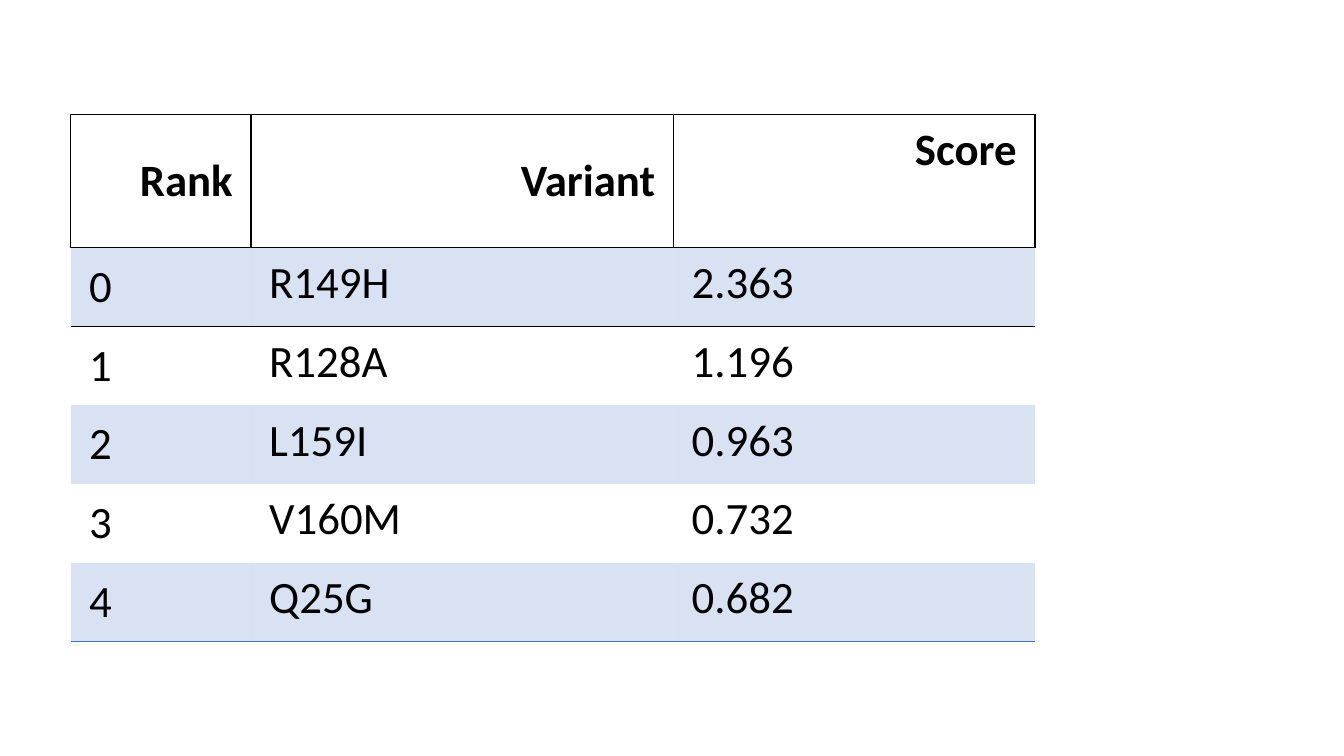
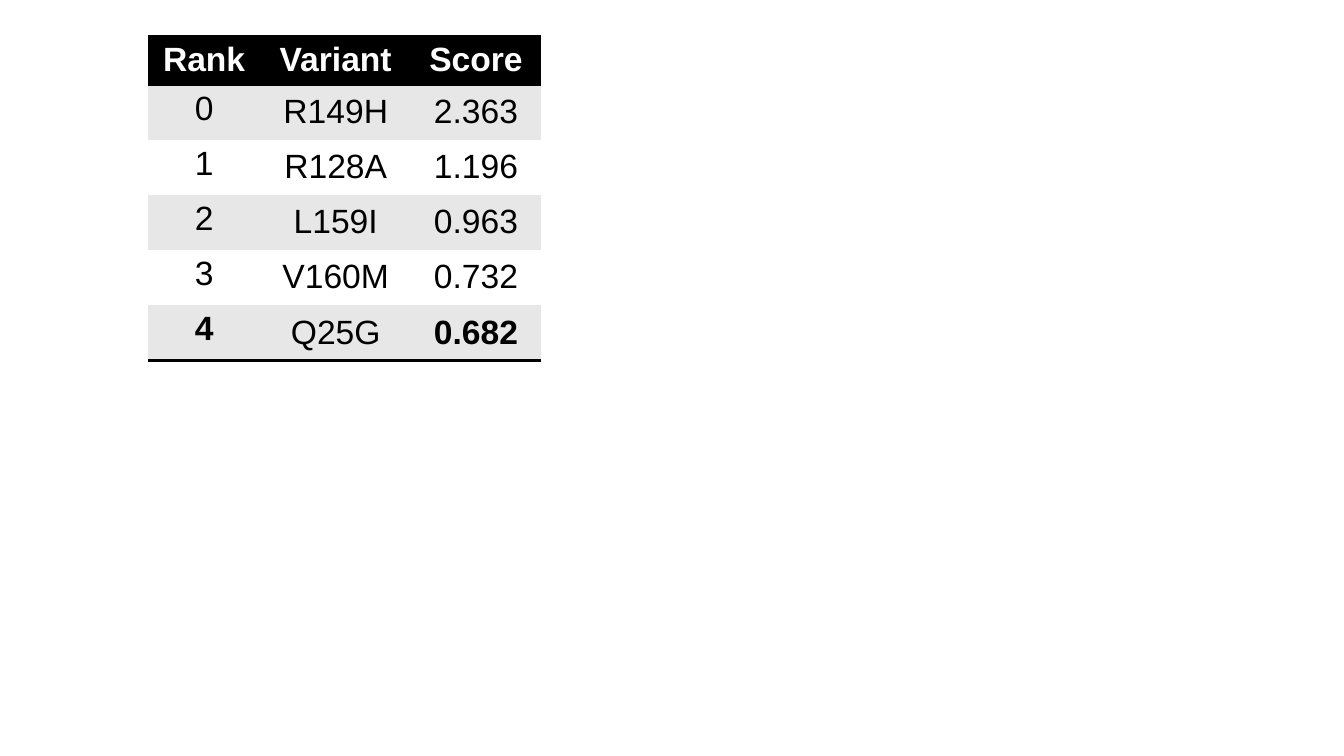
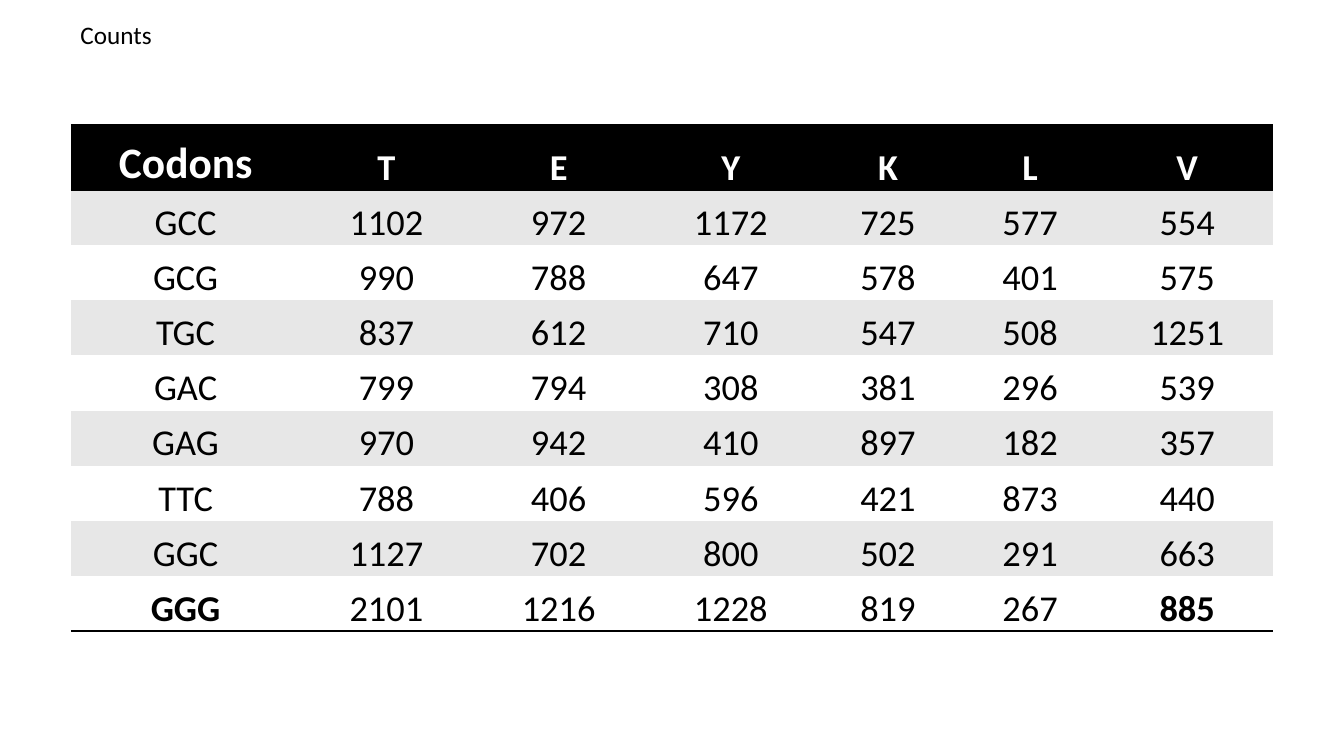
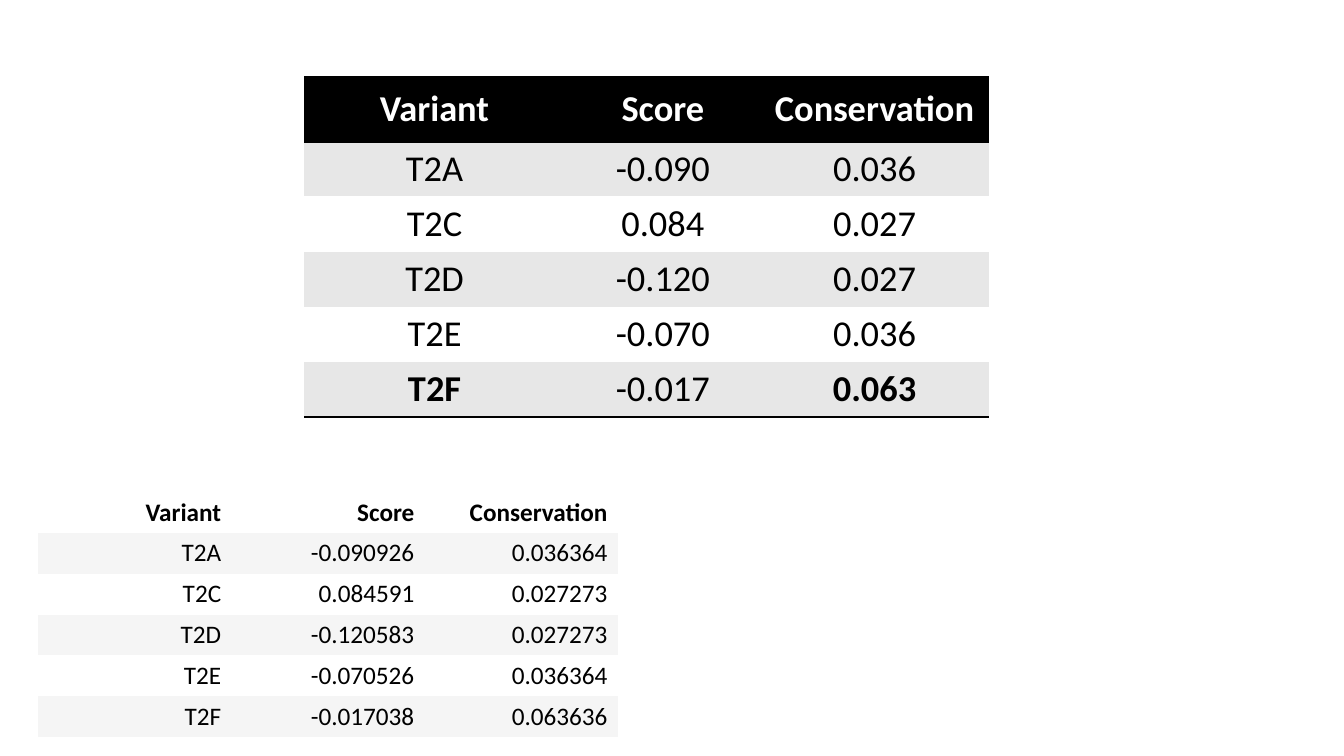
from dataclasses import dataclass, replace
from typing import Optional

from lxml.etree import SubElement
from pptx import Presentation
from pptx.dml.color import RGBColor
from pptx.enum.text import MSO_ANCHOR as Anchor, MSO_AUTO_SIZE as AutoSize, PP_ALIGN as Align
from pptx.oxml.ns import qn
from pptx.slide import Slide
from pptx.table import _Cell as Cell
from pptx.text.text import TextFrame
from pptx.util import Pt

BLACK = RGBColor(0x00, 0x00, 0x00)
WHITE = RGBColor(0xFF, 0xFF, 0xFF)
GRAY = RGBColor(0xE7, 0xE7, 0xE7)
PALE_GRAY = RGBColor(0xF5, 0xF5, 0xF5)
BLUE = RGBColor(0x44, 0x72, 0xC4)

BLANK_LAYOUT = 6
PLAIN_TABLE_STYLE = "{2D5ABB26-0587-4C30-8999-92F81FD0307C}"

Rows = list[list[str]]
Padding = tuple[float, float, float, float]  # left, top, right, bottom

NORMAL: Padding = (7.2, 3.6, 7.2, 3.6)
WIDE: Padding = (13, 6, 13, 6)
TIGHT: Padding = (1.2, 1.2, 1.2, 0)


@dataclass(frozen=True)
class Border:
    sides: str
    color: RGBColor
    width: float


@dataclass(frozen=True)
class CellLook:
    size: float
    font: str = "Calibri"
    color: RGBColor = BLACK
    bold: bool = False
    align: Align = Align.CENTER
    anchor: Anchor = Anchor.MIDDLE
    padding: Padding = NORMAL
    fill: Optional[RGBColor] = None
    opacity: int = 100
    borders: tuple[Border, ...] = ()


@dataclass(frozen=True)
class TableLook:
    """Looks of the header and of odd and even body rows, with their heights."""
    head: CellLook
    odd: CellLook
    even: CellLook
    head_height: float
    row_height: float
    closing: tuple[Border, ...] = ()
    bold_last_corners: bool = False


BLACK_RULES = (Border("TB", BLACK, 2),)
CLOSING_RULE = (Border("B", BLACK, 2),)


def black_header_look(base: CellLook, head_height: float = 46) -> TableLook:
    """Black header, gray bands and a black closing rule."""
    return TableLook(
        head=replace(base, color=WHITE, bold=True, fill=BLACK, borders=BLACK_RULES),
        odd=replace(base, fill=GRAY),
        even=replace(base, fill=WHITE),
        head_height=head_height,
        row_height=39.4,
        closing=CLOSING_RULE,
        bold_last_corners=True,
    )


BLUE_BODY = CellLook(32, align=Align.LEFT, anchor=Anchor.TOP, padding=WIDE)
BLUE_BANDS = TableLook(
    head=replace(BLUE_BODY, bold=True, align=Align.RIGHT, anchor=Anchor.MIDDLE,
                 borders=(Border("LRTB", BLACK, 1),)),
    odd=replace(BLUE_BODY, fill=BLUE, opacity=20),
    even=BLUE_BODY,
    head_height=95,
    row_height=56.3,
    closing=(Border("B", BLUE, 1),),
)
RANKING_LOOK = black_header_look(
    CellLook(24, font="Arial", anchor=Anchor.TOP), head_height=35)
COUNTS_LOOK = black_header_look(
    CellLook(26, anchor=Anchor.BOTTOM, padding=TIGHT))
SCORES_LOOK = black_header_look(CellLook(26))

DETAIL_BODY = CellLook(18, align=Align.RIGHT, fill=WHITE)
DETAIL_LOOK = TableLook(
    head=replace(DETAIL_BODY, bold=True),
    odd=replace(DETAIL_BODY, fill=PALE_GRAY),
    even=DETAIL_BODY,
    head_height=29.2,
    row_height=29.2,
)

RANKING: Rows = [
    ["Rank", "Variant", "Score"],
    ["0", "R149H", "2.363"],
    ["1", "R128A", "1.196"],
    ["2", "L159I", "0.963"],
    ["3", "V160M", "0.732"],
    ["4", "Q25G", "0.682"],
]
COUNTS: Rows = [
    ["Codons", "T", "E", "Y", "K", "L", "V"],
    ["GCC", "1102", "972", "1172", "725", "577", "554"],
    ["GCG", "990", "788", "647", "578", "401", "575"],
    ["TGC", "837", "612", "710", "547", "508", "1251"],
    ["GAC", "799", "794", "308", "381", "296", "539"],
    ["GAG", "970", "942", "410", "897", "182", "357"],
    ["TTC", "788", "406", "596", "421", "873", "440"],
    ["GGC", "1127", "702", "800", "502", "291", "663"],
    ["GGG", "2101", "1216", "1228", "819", "267", "885"],
]
SCORES: Rows = [
    ["Variant", "Score", "Conservation"],
    ["T2A", "-0.090", "0.036"],
    ["T2C", "0.084", "0.027"],
    ["T2D", "-0.120", "0.027"],
    ["T2E", "-0.070", "0.036"],
    ["T2F", "-0.017", "0.063"],
]
DETAILED_SCORES: Rows = [
    ["Variant", "Score", "Conservation"],
    ["T2A", "-0.090926", "0.036364"],
    ["T2C", "0.084591", "0.027273"],
    ["T2D", "-0.120583", "0.027273"],
    ["T2E", "-0.070526", "0.036364"],
    ["T2F", "-0.017038", "0.063636"],
]


def write_text(frame: TextFrame, text: str, *, size: float, font: str = "Calibri",
               color: RGBColor = BLACK, bold: bool = False,
               align: Align = Align.LEFT) -> None:
    paragraph = frame.paragraphs[0]
    paragraph.alignment = align
    run = paragraph.add_run()
    run.text = text
    run.font.name = font
    run.font.size = Pt(size)
    run.font.bold = bold
    run.font.color.rgb = color


def draw_borders(cell: Cell, borders: tuple[Border, ...]) -> None:
    properties = cell._tc.get_or_add_tcPr()
    for border in borders:
        for side in border.sides:
            line = SubElement(properties, qn(f"a:ln{side}"), w=str(Pt(border.width)))
            solid = SubElement(line, qn("a:solidFill"))
            SubElement(solid, qn("a:srgbClr"), val=str(border.color))


def fill_cell(cell: Cell, color: Optional[RGBColor], opacity: int) -> None:
    if color is None:
        cell.fill.background()
        return
    cell.fill.solid()
    cell.fill.fore_color.rgb = color
    if opacity < 100:
        tint = cell._tc.tcPr.find(f"{qn('a:solidFill')}/{qn('a:srgbClr')}")
        SubElement(tint, qn("a:alpha"), val=str(opacity * 1000))


def format_cell(cell: Cell, text: str, look: CellLook) -> None:
    (cell.margin_left, cell.margin_top,
     cell.margin_right, cell.margin_bottom) = map(Pt, look.padding)
    cell.vertical_anchor = look.anchor
    draw_borders(cell, look.borders)
    fill_cell(cell, look.fill, look.opacity)
    write_text(cell.text_frame, text, size=look.size, font=look.font,
               color=look.color, bold=look.bold, align=look.align)


def look_at(look: TableLook, row: int, column: int, rows: Rows) -> CellLook:
    """Look that the bands, the closing rule and the bold corners give a cell."""
    if row == 0:
        return look.head
    cell_look = look.odd if row % 2 else look.even
    if row == len(rows) - 1:
        corner = column in (0, len(rows[0]) - 1)
        cell_look = replace(cell_look, borders=look.closing,
                            bold=look.bold_last_corners and corner)
    return cell_look


def draw_table(slide: Slide, rows: Rows, look: TableLook, left: float, top: float,
               widths: list[float],
               exceptions: Optional[dict[tuple[int, int], dict]] = None) -> None:
    """Draw rows; exceptions map (row, column) to the CellLook fields that differ."""
    heights = [look.head_height] + [look.row_height] * (len(rows) - 1)
    frame = slide.shapes.add_table(len(rows), len(widths), Pt(left), Pt(top),
                                   Pt(sum(widths)), Pt(sum(heights)))
    for style_id in frame.element.iter(qn("a:tableStyleId")):
        style_id.text = PLAIN_TABLE_STYLE
    table = frame.table
    table.first_row = table.horz_banding = False
    for column, width in zip(table.columns, widths):
        column.width = Pt(width)
    for table_row, height in zip(table.rows, heights):
        table_row.height = Pt(height)
    for r, row in enumerate(rows):
        for c, text in enumerate(row):
            changes = (exceptions or {}).get((r, c), {})
            format_cell(table.cell(r, c), text,
                        replace(look_at(look, r, c, rows), **changes))


def draw_label(slide: Slide, text: str, left: float, top: float,
               width: float, height: float) -> None:
    frame = slide.shapes.add_textbox(Pt(left), Pt(top), Pt(width), Pt(height)).text_frame
    frame.word_wrap = False
    frame.auto_size = AutoSize.SHAPE_TO_FIT_TEXT
    write_text(frame, text, size=18)


def build_blue_ranking(slide: Slide) -> None:
    body = range(1, len(RANKING))
    exceptions = {(r, 0): {"anchor": Anchor.MIDDLE} for r in body}
    exceptions[0, 2] = {"anchor": Anchor.TOP}
    first_row_rules = {"borders": (Border("TB", BLACK, 1),)}
    for c in range(3):
        exceptions[1, c] = exceptions.get((1, c), {}) | first_row_rules
    draw_table(slide, RANKING, BLUE_BANDS, 50.6, 81.8, [128.7, 301.8, 258.2], exceptions)


def build_black_ranking(slide: Slide) -> None:
    padded = {(r, c): {"padding": WIDE} for r in range(1, len(RANKING)) for c in (1, 2)}
    draw_table(slide, RANKING, RANKING_LOOK, 105.8, 25.6, [80, 108, 92.4], padded)


def build_counts(slide: Slide) -> None:
    draw_table(slide, COUNTS, COUNTS_LOOK, 50.6, 89.8,
               [164, 123, 123, 123, 101.5, 101.5, 123], {(0, 0): {"size": 31}})
    draw_label(slide, "Counts", 50.4, 10.2, 66, 29)


def build_scores(slide: Slide) -> None:
    draw_table(slide, DETAILED_SCORES, DETAIL_LOOK, 27.2, 351.4, [138] * 3)
    draw_table(slide, SCORES, SCORES_LOOK, 217.2, 55, [186.5, 139.7, 162.8])


def main() -> None:
    deck = Presentation()
    deck.slide_width, deck.slide_height = Pt(960), Pt(540)
    for build in (build_blue_ranking, build_black_ranking, build_counts, build_scores):
        build(deck.slides.add_slide(deck.slide_layouts[BLANK_LAYOUT]))
    deck.save("out.pptx")


if __name__ == "__main__":
    main()
